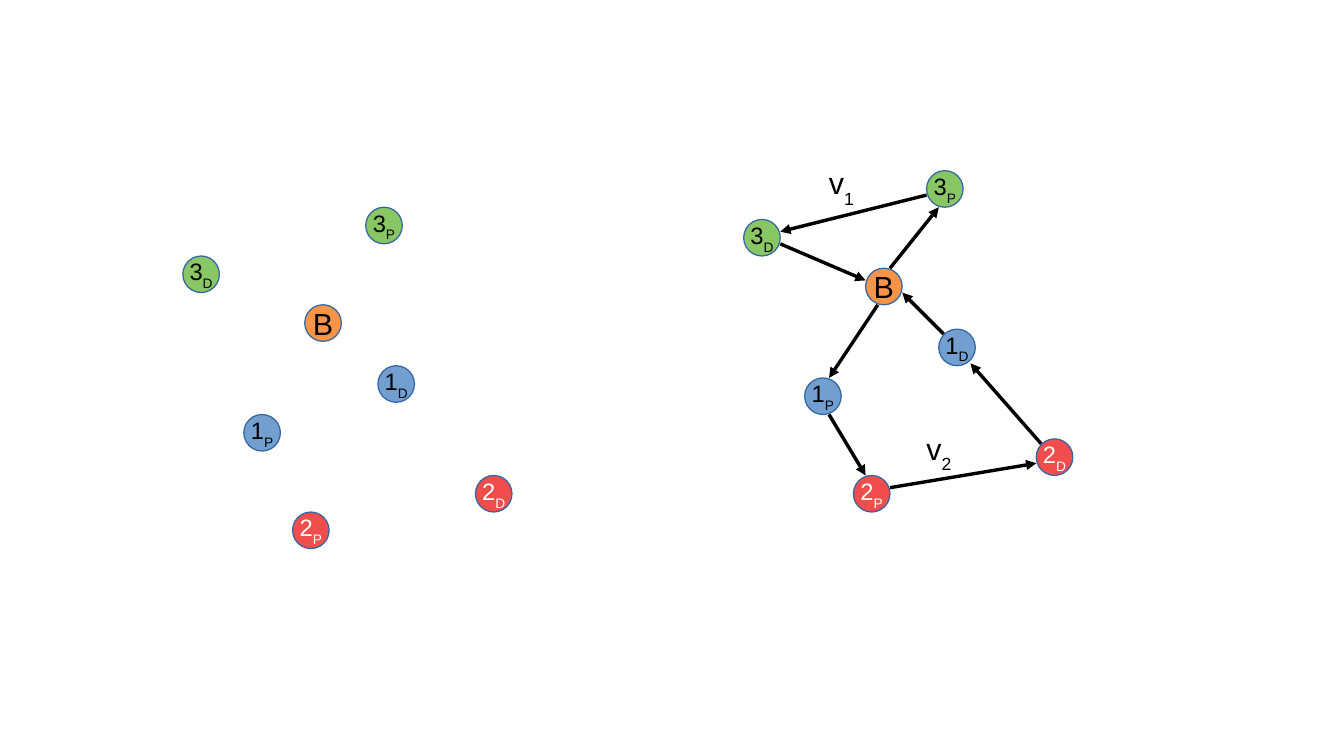
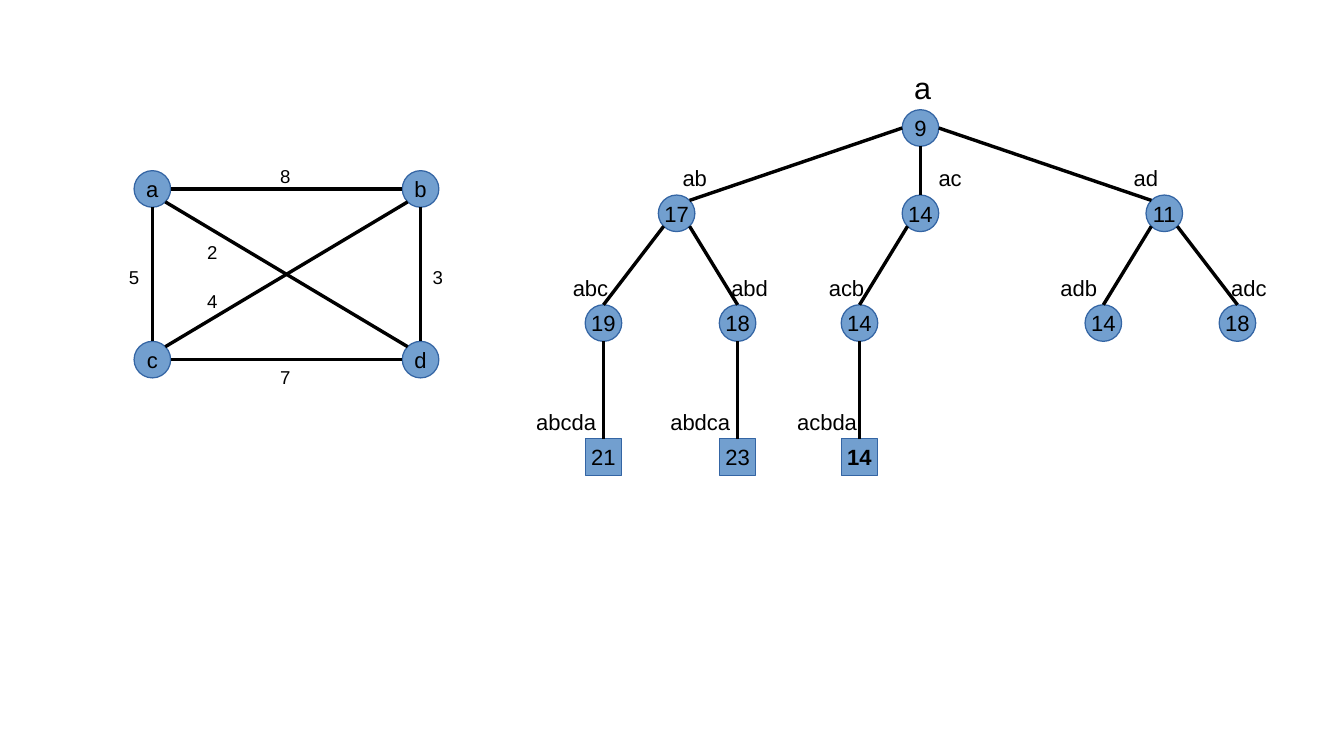
"""Builds two slides of routing diagrams: pickup tours and a branch-and-bound tree."""
from dataclasses import dataclass
from enum import IntEnum
from math import cos, radians, sin

from lxml import etree
from pptx import Presentation
from pptx import util as u
from pptx.dml.color import RGBColor
from pptx.enum import shapes, text
from pptx.oxml.ns import qn


@dataclass(frozen=True)
class Theme:
    """Colours, font, type sizes and node size shared by both slides."""
    font: str = "Arial"
    blue: str = "729FCF"
    red: str = "F04E4D"
    green: str = "89C765"
    orange: str = "F79448"
    outline: str = "3465A4"
    ink: str = "000000"
    paper: str = "FFFFFF"
    large: int = 18
    stop: int = 14
    normal: int = 13
    small: int = 11
    node: int = 3


THEME = Theme()


class Site(IntEnum):
    """Connection sites of an ellipse, counter-clockwise from the top."""
    N = 0
    NW = 1
    W = 2
    SW = 3
    S = 4
    SE = 5
    E = 6
    NE = 7


STOPS = {
    "1P": (5, 17, THEME.blue), "1D": (16, 13, THEME.blue),
    "2P": (9, 25, THEME.red), "2D": (24, 22, THEME.red),
    "3P": (15, 0, THEME.green), "3D": (0, 4, THEME.green),
    "B": (10, 8, THEME.orange),
}
TOUR_LEGS = [
    ((11, 11), (7, 17)), ((7, 20), (10, 25)), ((12, 26), (24, 24)),
    ((24.4, 22.4), (18.6, 15.8)), ((16.4, 13.4), (13, 10)),
    ((12, 8), (16, 3)), ((15, 2), (3, 5)), ((3, 6), (10, 9)),
]
TOUR_NAMES = [("v", "1", 6, -1), ("v", "2", 14, 20.8)]

CITIES = {"a": (0, 0), "b": (22, 0), "c": (0, 14), "d": (22, 14)}
ROADS = [
    ("a", Site.SE, "d", Site.NW, "2", 5, 5.3),
    ("b", Site.S, "d", Site.N, "3", 23.5, 7.3),
    ("b", Site.W, "a", Site.E, "8", 11, -1),
    ("a", Site.S, "c", Site.N, "5", -1.4, 7.3),
    ("d", Site.W, "c", Site.E, "7", 11, 15.5),
    ("c", Site.NE, "b", Site.SW, "4", 5, 9.3),
]

ROW_TOPS = {1: 0, 2: 7, 3: 16, 5: 27}
BRANCHES = {
    "a": ("9", 26, 26),
    "ab": ("17", 6, 7), "ac": ("14", 26, 28), "ad": ("11", 46, 44),
    "abc": ("19", 0, -2), "abd": ("18", 11, 11), "acb": ("14", 21, 19),
    "adb": ("14", 41, 38), "adc": ("18", 52, 52),
    "abcda": ("21", 0, -5), "abdca": ("23", 11, 6), "acbda": ("14", 21, 16.4),
}
BEST_TOUR = "acbda"


def grid(steps):
    """Turn grid steps, ten to the inch, into a length."""
    return u.Cm(2.54 * steps / 10)


def write(frame, words, sub="", size=THEME.normal, color=THEME.ink, bold=False,
          align=text.PP_ALIGN.LEFT):
    """Write words and an optional subscript into a text frame."""
    line = frame.paragraphs[0]
    line.alignment = align
    for part, baseline in ((words, None), (sub, "-33000")):
        if not part:
            continue
        run = line.add_run()
        run.text = part
        run.font.name = THEME.font
        run.font.size = u.Pt(size)
        run.font.bold = bold
        run.font.color.rgb = RGBColor.from_string(color)
        if baseline:
            run.font._element.set("baseline", baseline)


def add_label(slide, words, left, top, width=4, size=THEME.normal, sub=""):
    """Place a free label whose height follows its type size."""
    label = slide.shapes.add_textbox(grid(left), grid(top), grid(width),
                                     grid(1 + size / 6.5))
    label.text_frame.word_wrap = True
    label.text_frame.auto_size = text.MSO_AUTO_SIZE.SHAPE_TO_FIT_TEXT
    write(label.text_frame, words, sub=sub, size=size)


def add_node(slide, words, left, top, fill=THEME.blue,
             outline=shapes.MSO_SHAPE.OVAL, **style):
    """Place a filled node with centred text and return it."""
    node = slide.shapes.add_shape(outline, grid(left), grid(top),
                                  grid(THEME.node), grid(THEME.node))
    node.shadow.inherit = False
    node.fill.solid()
    node.fill.fore_color.rgb = RGBColor.from_string(fill)
    node.line.color.rgb = RGBColor.from_string(THEME.outline)
    node.line.width = u.Pt(0)
    node.text_frame.word_wrap = False
    node.text_frame.vertical_anchor = text.MSO_ANCHOR.MIDDLE
    write(node.text_frame, words, align=text.PP_ALIGN.CENTER, **style)
    return node


def add_line(slide, start, end, arrow=False):
    """Draw a hairline between two points, with an arrowhead if asked."""
    line = slide.shapes.add_connector(shapes.MSO_CONNECTOR.STRAIGHT, *start, *end)
    line.line.color.rgb = RGBColor.from_string(THEME.ink)
    line.line.width = u.Pt(0)
    if arrow:
        etree.SubElement(line.line._get_or_add_ln(), qn("a:tailEnd"), type="triangle")
    etree.SubElement(line._element.spPr, qn("a:effectLst"))
    return line


def site_point(node, site):
    """Return the point of a connection site on a node."""
    angle = radians(45 * site)
    return (round(node.left + node.width * (1 - sin(angle)) / 2),
            round(node.top + node.height * (1 - cos(angle)) / 2))


def join(slide, first, first_site, second, second_site):
    """Join two nodes by a line glued to their connection sites."""
    line = add_line(slide, site_point(first, first_site),
                    site_point(second, second_site))
    glue = line._element.nvCxnSpPr.cNvCxnSpPr
    for tag, node, site in (("a:stCxn", first, first_site),
                            ("a:endCxn", second, second_site)):
        etree.SubElement(glue, qn(tag), id=str(node.shape_id), idx=str(int(site)))


def draw_stops(slide, left, top):
    """Draw the base and the pickup and delivery stops."""
    for name, (x, y, fill) in STOPS.items():
        add_node(slide, name[0], left + x, top + y, fill=fill, sub=name[1:],
                 size=THEME.stop if name[1:] else THEME.large,
                 color=THEME.paper if fill == THEME.red else THEME.ink)


def draw_tours(slide, left, top):
    """Draw the stops with the vehicles' tours between them."""
    draw_stops(slide, left, top)
    for leg in TOUR_LEGS:
        start, end = [(grid(left + x), grid(top + y)) for x, y in leg]
        add_line(slide, start, end, arrow=True)
    for name, number, x, y in TOUR_NAMES:
        add_label(slide, name, left + x, top + y, width=5, size=THEME.large,
                  sub=number)


def draw_road_map(slide, left, top):
    """Draw the weighted graph of cities."""
    cities = {name: add_node(slide, name, left + x, top + y)
              for name, (x, y) in CITIES.items()}
    for first, first_site, second, second_site, cost, x, y in ROADS:
        join(slide, cities[first], first_site, cities[second], second_site)
        add_label(slide, cost, left + x, top + y, size=THEME.small)


def branch_sites(parent, child, from_root):
    """Choose the sites of a branch from the side it leans to."""
    lean = (child.left > parent.left) - (child.left < parent.left)
    if from_root:
        return ((Site.S, Site.N), (Site.E, Site.NW), (Site.W, Site.NE))[lean]
    return (Site.S, Site.SE, Site.SW)[lean], Site.N


def draw_search_tree(slide, left, top):
    """Draw the search tree with its bounds and partial tours."""
    nodes = {}
    for tour, (bound, x, label_x) in BRANCHES.items():
        depth = len(tour)
        complete = depth == 5
        row = top + ROW_TOPS[depth]
        outline = shapes.MSO_SHAPE.RECTANGLE if complete else shapes.MSO_SHAPE.OVAL
        nodes[tour] = add_node(slide, bound, left + x, row, outline=outline,
                               bold=tour == BEST_TOUR)
        if depth == 1:
            add_label(slide, tour, left + label_x, row - 3.8, size=THEME.large)
            continue
        parent = tour[:-2] if complete else tour[:-1]
        start, end = branch_sites(nodes[parent], nodes[tour], parent == "a")
        join(slide, nodes[parent], start, nodes[tour], end)
        add_label(slide, tour, left + label_x, row - 3, width=max(4, depth + 2))


def main():
    """Build and save the presentation."""
    deck = Presentation()
    deck.slide_width, deck.slide_height = u.Cm(28), u.Cm(15.75)
    blank = deck.slide_layouts[6]

    routing = deck.slides.add_slide(blank)
    draw_stops(routing, 15, 17)
    draw_tours(routing, 61, 14)

    search = deck.slides.add_slide(blank)
    draw_road_map(search, 11, 14)
    draw_search_tree(search, 48, 9)

    deck.save("out.pptx")


if __name__ == "__main__":
    main()
